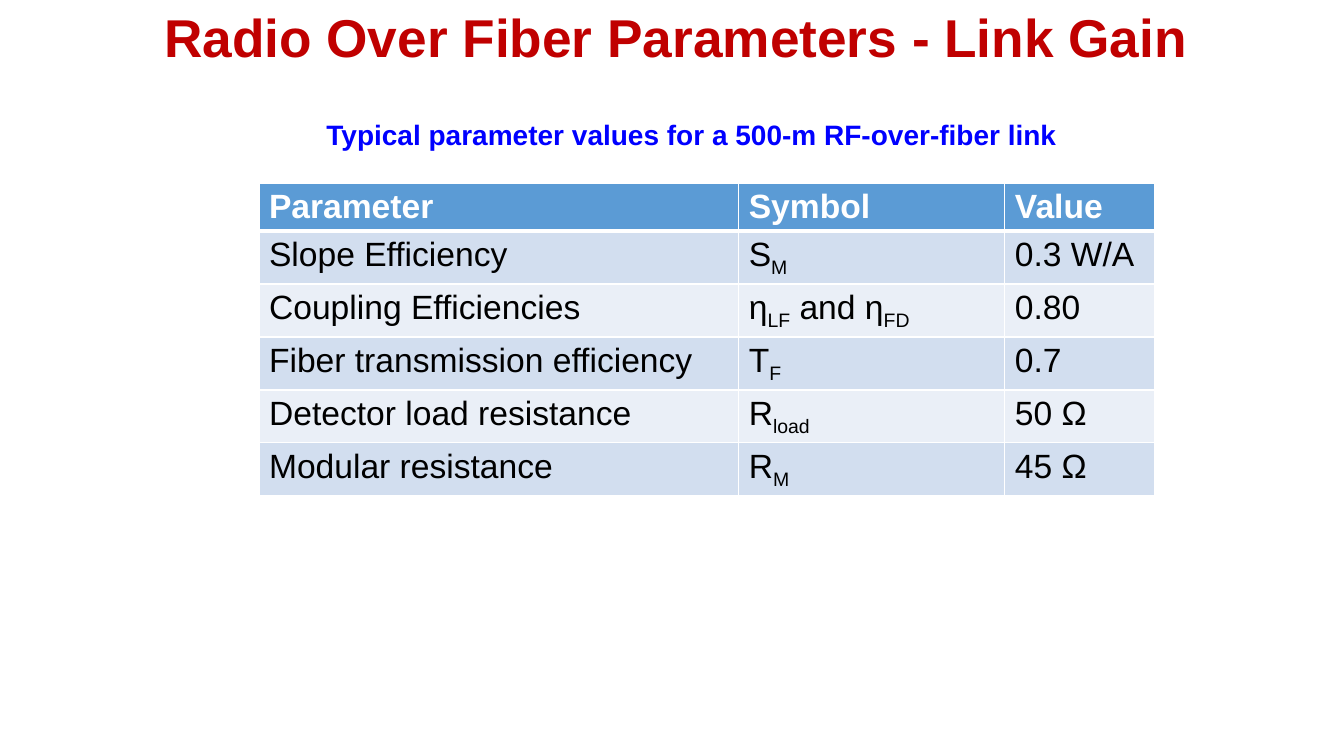
from lxml import etree
from pptx import Presentation
from pptx.dml.color import RGBColor
from pptx.enum.text import MSO_ANCHOR, MSO_AUTO_SIZE
from pptx.oxml.ns import qn
from pptx.util import Pt

MIDDLE, TOP = MSO_ANCHOR.MIDDLE, MSO_ANCHOR.TOP
NO_FIT, GROW = MSO_AUTO_SIZE.NONE, MSO_AUTO_SIZE.SHAPE_TO_FIT_TEXT

THEME = {
    "font": "Arial",
    "title": {"size": 38, "color": "C00000", "bold": True},
    "caption": {"size": 20, "color": "0000FF", "bold": True},
    "header": {"size": 24, "color": "FFFFFF", "bold": True},
    "body": {"size": 24, "color": "000000", "bold": False},
    "header_fill": "5B9BD5",
    "band_fills": ("D2DEEF", "EAEFF7"),
    "border": "FFFFFF",
}

TITLE = "Radio Over Fiber Parameters - Link Gain"
CAPTION = "Typical parameter values for a 500-m RF-over-fiber link"

# Within a cell, normal and subscript pieces alternate.
ROWS = [
    (["Parameter"], ["Symbol"], ["Value"]),
    (["Slope Efficiency"], ["S", "M"], ["0.3 W/A"]),
    (["Coupling Efficiencies"], ["η", "LF", " and η", "FD"], ["0.80"]),
    (["Fiber transmission efficiency"], ["T", "F"], ["0.7"]),
    (["Detector load resistance"], ["R", "load"], ["50 Ω"]),
    (["Modular resistance"], ["R", "M"], ["45 Ω"]),
]

SLIDE_SIZE = (960, 540)
TITLE_BOX = (110.16, 0, 763.2, 57.6)
CAPTION_BOX = (226.08, 80.64, 540, 31.68)
TABLE_ORIGIN = (185, 131)
COLUMN_WIDTHS = (342.7, 190.1, 107.3)
HEADER_HEIGHT, BODY_HEIGHT = 33.6, 37.7
THIN, THICK = 1, 3


def add_run(paragraph, text, style, subscript=False):
    run = paragraph.add_run()
    run.text = text
    formats = {"name": THEME["font"], "size": Pt(style["size"]), "bold": style["bold"]}
    for name, value in formats.items():
        setattr(run.font, name, value)
    run.font.color.rgb = RGBColor.from_string(style["color"])
    if subscript:
        run._r.get_or_add_rPr().set("baseline", "-25000")


def add_label(slide, box, text, style, formats):
    frame = slide.shapes.add_textbox(*map(Pt, box)).text_frame
    for name, value in formats.items():
        setattr(frame, name, value)
    add_run(frame.paragraphs[0], text, style)
    return frame


def add_borders(cell, widths):
    properties = cell._tc.get_or_add_tcPr()
    for side, width in widths.items():
        line = etree.SubElement(properties, qn(f"a:ln{side}"), w=str(Pt(width)))
        fill = etree.SubElement(line, qn("a:solidFill"))
        etree.SubElement(fill, qn("a:srgbClr"), val=THEME["border"])


def add_parameter_table(slide):
    heights = [HEADER_HEIGHT] + [BODY_HEIGHT] * (len(ROWS) - 1)
    size = (sum(COLUMN_WIDTHS), sum(heights))
    table = slide.shapes.add_table(
        len(ROWS), len(COLUMN_WIDTHS), *map(Pt, TABLE_ORIGIN + size)
    ).table
    for column, width in zip(table.columns, COLUMN_WIDTHS):
        column.width = Pt(width)
    for index, (row, height, contents) in enumerate(zip(table.rows, heights, ROWS)):
        row.height = Pt(height)
        is_header = index == 0
        style = THEME["header" if is_header else "body"]
        color = THEME["header_fill"] if is_header else THEME["band_fills"][(index - 1) % 2]
        borders = {
            "L": THIN,
            "R": THIN,
            "T": THICK if index == 1 else THIN,
            "B": THICK if is_header else THIN,
        }
        for cell, pieces in zip(row.cells, contents):
            add_borders(cell, borders)
            cell.fill.solid()
            cell.fill.fore_color.rgb = RGBColor.from_string(color)
            for position, text in enumerate(pieces):
                add_run(cell.text_frame.paragraphs[0], text, style, position % 2 == 1)


def main():
    presentation = Presentation()
    presentation.slide_width, presentation.slide_height = map(Pt, SLIDE_SIZE)
    slide = presentation.slides.add_slide(presentation.slide_layouts[6])
    add_parameter_table(slide)
    add_label(slide, CAPTION_BOX, CAPTION, THEME["caption"],
              {"word_wrap": False, "auto_size": GROW, "vertical_anchor": TOP})
    title = add_label(slide, TITLE_BOX, TITLE, THEME["title"],
                      {"word_wrap": True, "auto_size": NO_FIT, "vertical_anchor": MIDDLE})
    title.paragraphs[0].line_spacing = 0.9
    presentation.save("out.pptx")


if __name__ == "__main__":
    main()
